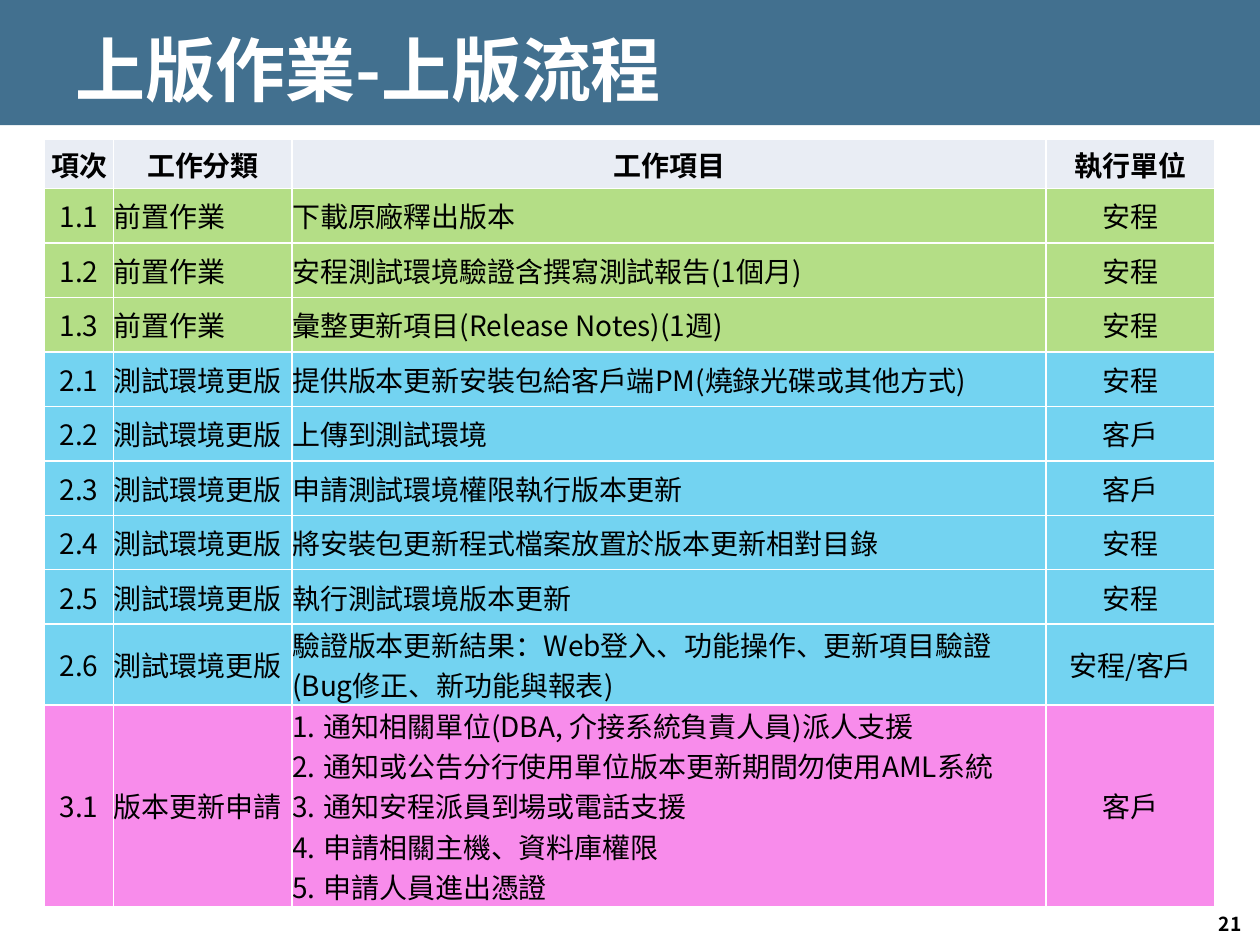
from dataclasses import dataclass

from lxml import etree
from pptx import Presentation
from pptx.dml.color import RGBColor
from pptx.enum.shapes import MSO_SHAPE
from pptx.enum.text import MSO_ANCHOR, PP_ALIGN
from pptx.oxml import parse_xml
from pptx.oxml.ns import nsdecls, qn
from pptx.util import Pt


@dataclass
class Theme:
    font: str = "Noto Sans CJK SC"
    bar: str = "42708F"
    white: str = "FFFFFF"
    black: str = "000000"
    head: str = "E9EDF4"
    prep: str = "B4DE86"
    test: str = "73D3F1"
    apply: str = "F88CEB"
    title: int = 40
    body: int = 16
    small: int = 11


theme = Theme()


def style(frame, size, color, bold=False, align=PP_ALIGN.LEFT):
    for para in frame.paragraphs:
        para.alignment = align
        for run in para.runs:
            font = run.font
            font.name, font.size, font.bold = theme.font, Pt(size), bold
            font.color.rgb = RGBColor.from_string(color)
            east = etree.SubElement(run._r.get_or_add_rPr(), qn("a:ea"))
            east.set("typeface", theme.font)


def border(cell):
    for side in ("lnL", "lnR", "lnT", "lnB"):
        cell._tc.get_or_add_tcPr().append(parse_xml(
            f'<a:{side} {nsdecls("a")} w="12700"><a:solidFill>'
            f'<a:srgbClr val="{theme.white}"/></a:solidFill></a:{side}>'))


deck = Presentation()
deck.slide_width, deck.slide_height = Pt(720), Pt(540)
slide = deck.slides.add_slide(deck.slide_layouts[5])
shapes = slide.shapes

# Title bar, behind the title
bar = shapes.add_shape(MSO_SHAPE.RECTANGLE, Pt(0), Pt(-2), Pt(720), Pt(73.5))
bar.shadow.inherit = False
bar.fill.solid()
bar.fill.fore_color.rgb = RGBColor.from_string(theme.bar)
bar.line.fill.background()
shapes.title.element.addprevious(bar.element)

# Title
title = shapes.title
title.left, title.top, title.width, title.height = Pt(36), Pt(8), Pt(648), Pt(62.5)
title.text_frame.text = "上版作業-上版流程"
title.text_frame.vertical_anchor = MSO_ANCHOR.MIDDLE
style(title.text_frame, theme.title, theme.white, bold=True)

# Work table
prep, test = "前置作業", "測試環境更版"
team, client = "安程", "客戶"
rows = [
    (theme.head, "項次", "工作分類", "工作項目", "執行單位"),
    (theme.prep, "1.1", prep, "下載原廠釋出版本", team),
    (theme.prep, "1.2", prep, f"{team}測試環境驗證含撰寫測試報告(1個月)", team),
    (theme.prep, "1.3", prep, "彙整更新項目(Release Notes)(1週)", team),
    (theme.test, "2.1", test, "提供版本更新安裝包給客戶端PM(燒錄光碟或其他方式)", team),
    (theme.test, "2.2", test, "上傳到測試環境", client),
    (theme.test, "2.3", test, "申請測試環境權限執行版本更新", client),
    (theme.test, "2.4", test, "將安裝包更新程式檔案放置於版本更新相對目錄", team),
    (theme.test, "2.5", test, "執行測試環境版本更新", team),
    (theme.test, "2.6", test,
     "驗證版本更新結果：Web登入、功能操作、更新項目驗證(Bug修正、新功能與報表)",
     f"{team}/{client}"),
    (theme.apply, "3.1", "版本更新申請", "\n".join([
        "通知相關單位(DBA, 介接系統負責人員)派人支援",
        "通知或公告分行使用單位版本更新期間勿使用AML系統",
        f"通知{team}派員到場或電話支援",
        "申請相關主機、資料庫權限",
        "申請人員進出憑證"]), client),
]
widths = [39.6, 102, 430.8, 96.5]
heights = [28.2] + [31.15] * 8 + [45.4, 105]
table = shapes.add_table(len(rows), len(widths), Pt(25.4), Pt(79.5),
                         Pt(sum(widths)), Pt(sum(heights))).table
table.horz_banding = table.first_row = False
for col, width in zip(table.columns, widths):
    col.width = Pt(width)
for row, height in zip(table.rows, heights):
    row.height = Pt(height)

for r, (fill, *texts) in enumerate(rows):
    for c, text in enumerate(texts):
        cell = table.cell(r, c)
        cell.margin_left = cell.margin_right = Pt(0)
        cell.margin_top = cell.margin_bottom = Pt(0)
        cell.vertical_anchor = MSO_ANCHOR.MIDDLE
        border(cell)
        cell.fill.solid()
        cell.fill.fore_color.rgb = RGBColor.from_string(fill)
        cell.text_frame.text = text
        mid = r == 0 or c in (0, 3)
        style(cell.text_frame, theme.body, theme.black, bold=r == 0,
              align=PP_ALIGN.CENTER if mid else PP_ALIGN.LEFT)

# Numbered steps in the last row
for para in table.cell(len(rows) - 1, 2).text_frame.paragraphs:
    props = para._p.get_or_add_pPr()
    props.set("marL", str(Pt(18)))
    props.set("indent", str(Pt(-18)))
    etree.SubElement(props, qn("a:buFont")).set("typeface", theme.font)
    etree.SubElement(props, qn("a:buAutoNum")).set("type", "arabicPeriod")

# Page number
page = shapes.add_textbox(Pt(686), Pt(517.5), Pt(34), Pt(21.5)).text_frame
page.word_wrap = True
page.text = "21"
style(page, theme.small, theme.black, bold=True, align=PP_ALIGN.CENTER)

deck.save("out.pptx")
